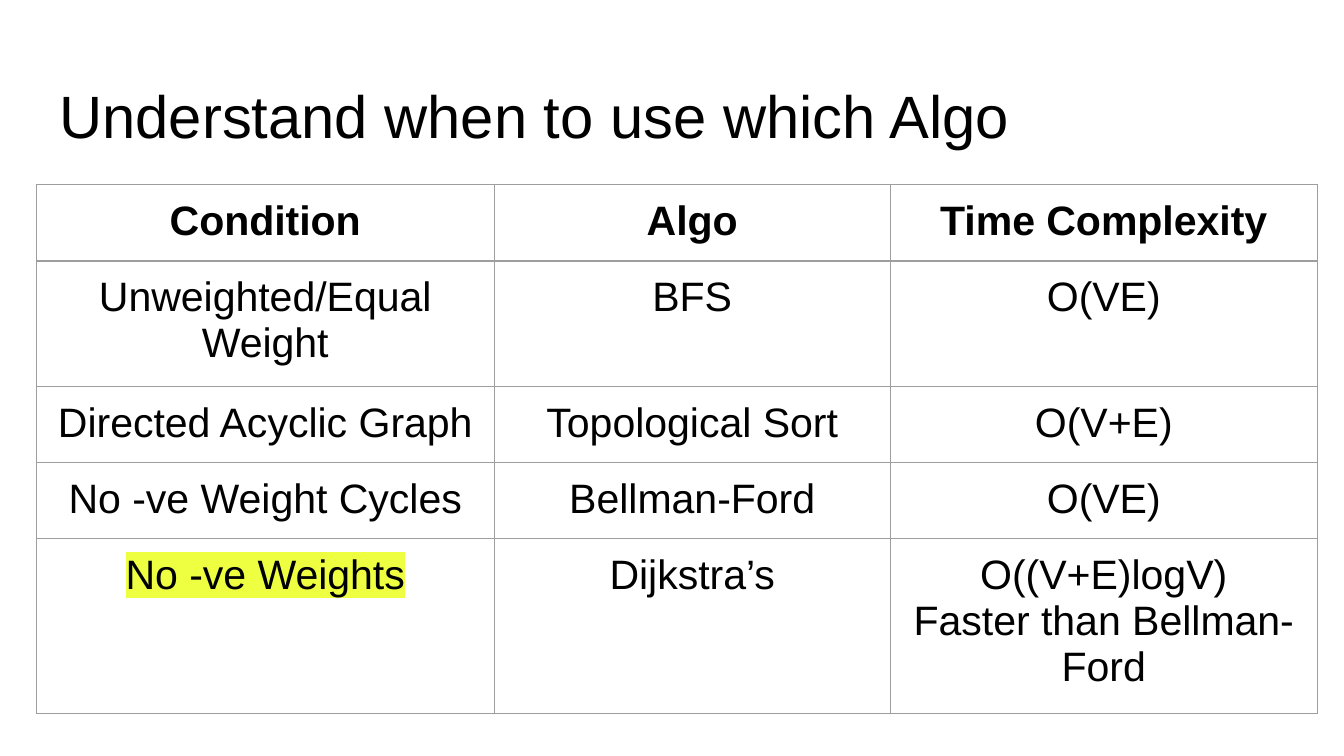
"""Build a slide with a table of graph algorithms by condition."""
from lxml import etree
from pptx import Presentation
from pptx.dml.color import RGBColor
from pptx.enum.text import MSO_ANCHOR, PP_ALIGN
from pptx.oxml.ns import qn
from pptx.util import Pt

PX = 9525
CENTER = PP_ALIGN.CENTER
TOP = MSO_ANCHOR.TOP
COLORS = {"text": "000000", "border": "9E9E9E", "highlight": "EEFF41"}
ROWS = [
    ["Condition", "Algo", "Time Complexity"],
    ["Unweighted/Equal Weight", "BFS", "O(VE)"],
    ["Directed Acyclic Graph", "Topological Sort", "O(V+E)"],
    ["No -ve Weight Cycles", "Bellman-Ford", "O(VE)"],
    ["No -ve Weights", "Dijkstra’s", "O((V+E)logV)\nFaster than Bellman-Ford"],
]
COL_WIDTHS = [327, 283, 305]
ROW_HEIGHT = 40
INSET = Pt(7.2)


def add_run(p, text, size, bold=False):
    r = p.add_run()
    r.text = text
    r.font.size = Pt(size)
    r.font.bold = bold
    r.font.color.rgb = RGBColor.from_string(COLORS["text"])
    r.font.name = "Arial"
    return r


def add_solid(parent, tag, color):
    el = etree.SubElement(parent, qn(tag))
    etree.SubElement(el, qn("a:srgbClr"), val=COLORS[color])
    return el


prs = Presentation()
prs.slide_width = 960 * PX
prs.slide_height = 540 * PX
s = prs.slides.add_slide(prs.slide_layouts[6])

sp = s.shapes.add_textbox(33 * PX, 47 * PX, 895 * PX, 60 * PX)
tf = sp.text_frame
tf.word_wrap = True
tf.vertical_anchor = TOP
tf.margin_left = tf.margin_right = INSET
tf.margin_top = tf.margin_bottom = INSET
add_run(tf.paragraphs[0], "Understand when to use which Algo", 32)

gf = s.shapes.add_table(len(ROWS), len(COL_WIDTHS), 26 * PX, 132 * PX,
                        sum(COL_WIDTHS) * PX, len(ROWS) * ROW_HEIGHT * PX)
table = gf.table
table.first_row = False
table.horz_banding = False
for col, width in zip(table.columns, COL_WIDTHS):
    col.width = width * PX

for i, texts in enumerate(ROWS):
    for j, text in enumerate(texts):
        cell = table.cell(i, j)
        cell.vertical_anchor = TOP
        cell.margin_left = cell.margin_right = INSET
        cell.margin_top = cell.margin_bottom = INSET
        tc_pr = cell._tc.get_or_add_tcPr()
        for side in ("a:lnL", "a:lnR", "a:lnT", "a:lnB"):
            ln = etree.SubElement(tc_pr, qn(side), w=str(Pt(0.75)))
            add_solid(ln, "a:solidFill", "border")
        cell.fill.background()
        tf = cell.text_frame
        for k, line in enumerate(text.split("\n")):
            p = tf.add_paragraph() if k else tf.paragraphs[0]
            p.alignment = CENTER
            r = add_run(p, line, 22, bold=i == 0)
            if line == "No -ve Weights":
                r_pr = r._r.get_or_add_rPr()
                highlight = add_solid(r_pr, "a:highlight", "highlight")
                r_pr.find(qn("a:solidFill")).addnext(highlight)

prs.save("out.pptx")
